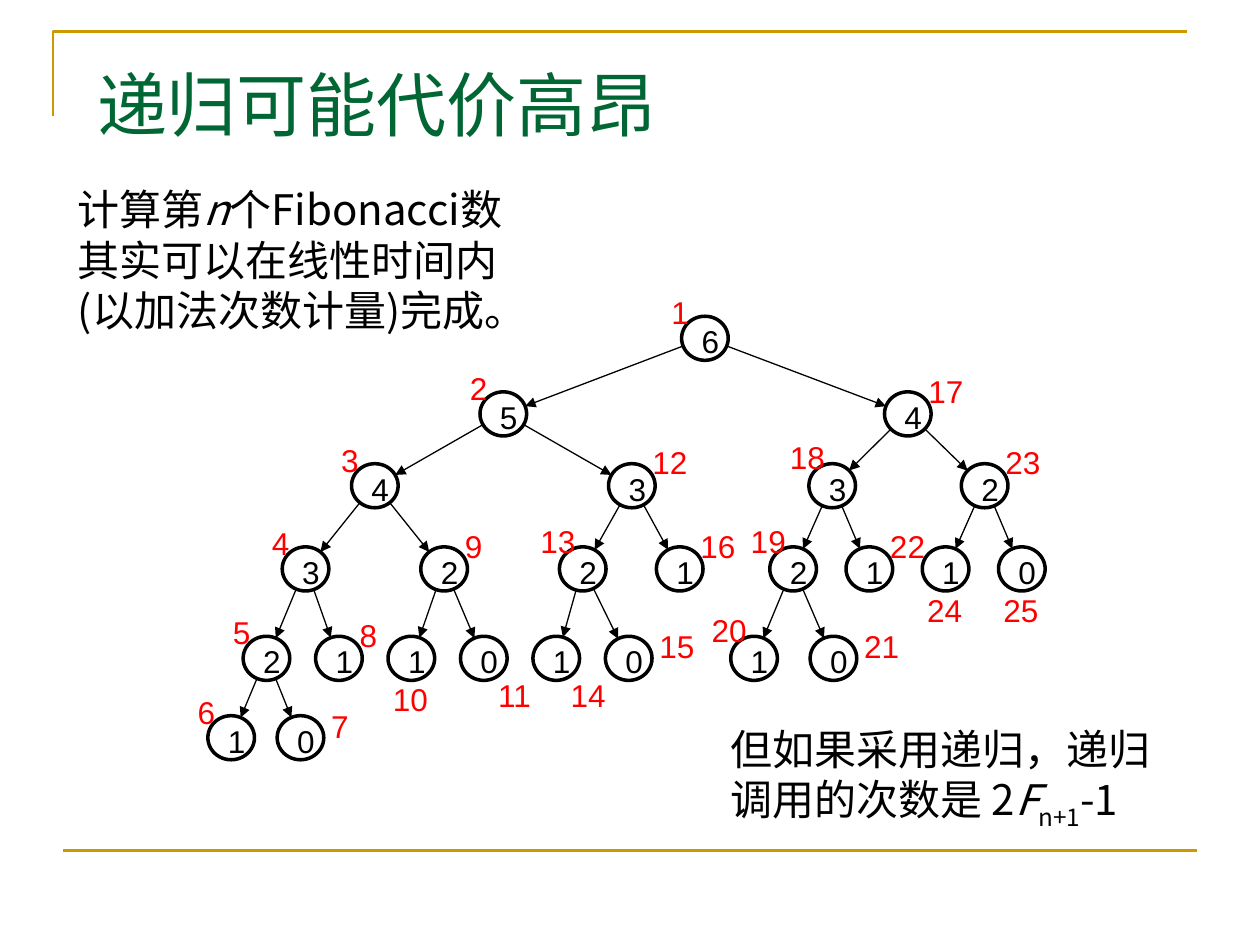
from math import hypot

from lxml.etree import SubElement
from pptx import Presentation
from pptx.dml.color import RGBColor
from pptx.enum.shapes import MSO_CONNECTOR, MSO_SHAPE
from pptx.enum.text import MSO_ANCHOR, PP_ALIGN
from pptx.oxml.ns import qn
from pptx.util import Inches, Pt

BLACK = RGBColor(0x00, 0x00, 0x00)
RED = RGBColor(0xFF, 0x00, 0x00)
GREEN = RGBColor(0x00, 0x66, 0x33)
GOLD = RGBColor(0xCC, 0x99, 0x00)

NODE_WIDTH, NODE_HEIGHT = 0.37, 0.35
TEXT_HEIGHT = 0.4

# One row per depth of the call tree: top, then the left edges of its nodes
ROWS = [
    (2.51, [5.41]),
    (3.11, [3.81, 7.02]),
    (3.68, [2.79, 4.83, 6.42, 7.63]),
    (4.34, [2.24, 3.34, 4.44, 5.21] + [6.11 + 0.605 * i for i in range(4)]),
    (5.05, [1.93 + 0.575 * i for i in range(6)] + [5.8, 6.43]),
    (5.68, [1.65, 2.2]),
]

# Where a call number stands, as an offset from the corner of its node
SIDES = {
    "left": (-0.18, -0.23),
    "far left": (-0.25, -0.25),
    "above": (0.25, -0.21),
    "right": (0.33, -0.12),
    "below": (-0.06, 0.3),
    "corner": (0.2, 0.27),
}
NUMBER_SIDES = (
    ["left"] * 6
    + ["right", "above", "above", "below", "corner", "above", "far left", "corner"]
    + ["right", "above", "above"] + ["far left"] * 3
    + ["right", "above", "above", "below", "below"]
)

# Box (left, top, width, height) and runs: text, italic, baseline
NOTES = [
    ((0.52, 1.41, 3.7, 1.31), [
        ("计算第", False, 0), ("n", True, 0),
        ("个Fibonacci数其实可以在线性时间内(以加法次数计量)完成。", False, 0)]),
    ((5.7, 5.69, 3.77, 0.91), [
        ("但如果采用递归，递归调用的次数是 2", False, 0), ("F", True, 0),
        ("n+1", False, -25000), ("-1", False, 0)]),
]


def add_text(box, runs, font_name, size, color):
    """Add a wrapping text box with one paragraph made of the given runs."""
    text_frame = slide.shapes.add_textbox(*map(Inches, box)).text_frame
    text_frame.word_wrap = True
    for text, italic, baseline in runs:
        run = text_frame.paragraphs[0].add_run()
        run.text = text
        run.font.name = font_name
        run.font.size = Pt(size)
        run.font.italic = italic
        run.font.color.rgb = color
        properties = run.font._element
        SubElement(properties, qn("a:ea")).set("typeface", font_name)
        if baseline:
            properties.set("baseline", str(baseline))


def add_line(ends, color, width, arrow=False):
    """Add a straight line without shadow, with an arrowhead if wanted."""
    line = slide.shapes.add_connector(MSO_CONNECTOR.STRAIGHT, *map(Inches, ends))
    line.line.color.rgb = color
    line.line.width = Pt(width)
    if arrow:
        SubElement(line.line._get_or_add_ln(), qn("a:tailEnd")).set("type", "triangle")
    SubElement(line._element.spPr, qn("a:effectLst"))


presentation = Presentation()
presentation.slide_width = Inches(10)
presentation.slide_height = Inches(7.5)
slide = presentation.slides.add_slide(presentation.slide_layouts[5])

# Frame
builder = slide.shapes.build_freeform(Inches(0.42), Inches(0.92))
builder.add_line_segments(
    [(Inches(0.42), Inches(0.25)), (Inches(9.42), Inches(0.25))], close=False)
corner = builder.convert_to_shape()
corner.shadow.inherit = False
corner.fill.background()
corner.line.color.rgb = GOLD
corner.line.width = Pt(1.5)
add_line((0.5, 6.75, 9.5, 6.75), GOLD, 1.5)

# Title
title = slide.shapes.title
title.left, title.top = Inches(0.67), Inches(0.44)
title.width, title.height = Inches(9.45), Inches(0.77)
title.text_frame.text = "递归可能代价高昂"
title.text_frame.vertical_anchor = MSO_ANCHOR.MIDDLE
paragraph = title.text_frame.paragraphs[0]
paragraph.alignment = PP_ALIGN.LEFT
title_font = paragraph.runs[0].font
title_font.name = "Cambria"
title_font.size = Pt(40)
title_font.color.rgb = GREEN

# Call tree: each call of n > 1 makes the calls n - 1 and n - 2, left one first
free_places = [iter(lefts) for _, lefts in ROWS]
pending = [(6, 0, None)]
for number, side in enumerate(NUMBER_SIDES, 1):
    argument, depth, caller = pending.pop()
    left, top = next(free_places[depth]), ROWS[depth][0]
    if argument > 1:
        pending.append((argument - 2, depth + 1, (left, top)))
        pending.append((argument - 1, depth + 1, (left, top)))

    node = slide.shapes.add_shape(
        MSO_SHAPE.OVAL, *map(Inches, (left, top, NODE_WIDTH, NODE_HEIGHT)))
    node.shadow.inherit = False
    node.fill.background()
    node.line.color.rgb = BLACK
    node.line.width = Pt(2)

    # The arrow runs between the outlines, along the line of the two centres
    if caller:
        across, down = left - caller[0], top - caller[1]
        distance = hypot(across, down)
        edge_x = NODE_WIDTH / 2 * across / distance
        edge_y = NODE_HEIGHT / 2 * down / distance
        middle_x, middle_y = left + NODE_WIDTH / 2, top + NODE_HEIGHT / 2
        add_line((middle_x - across + edge_x, middle_y - down + edge_y,
                  middle_x - edge_x, middle_y - edge_y), BLACK, 0.75, arrow=True)

    add_text((left + 0.06, top, 0.44, TEXT_HEIGHT),
             [(str(argument), False, 0)], "Arial", 18, BLACK)
    shift_x, shift_y = SIDES[side]
    number_width = 0.29 if number < 10 else 0.59
    add_text((left + shift_x, top + shift_y, number_width, TEXT_HEIGHT),
             [(str(number), False, 0)], "Arial", 18, RED)

# Remarks
for box, runs in NOTES:
    add_text(box, runs, "Noto Sans CJK SC", 24, BLACK)

presentation.save("out.pptx")
